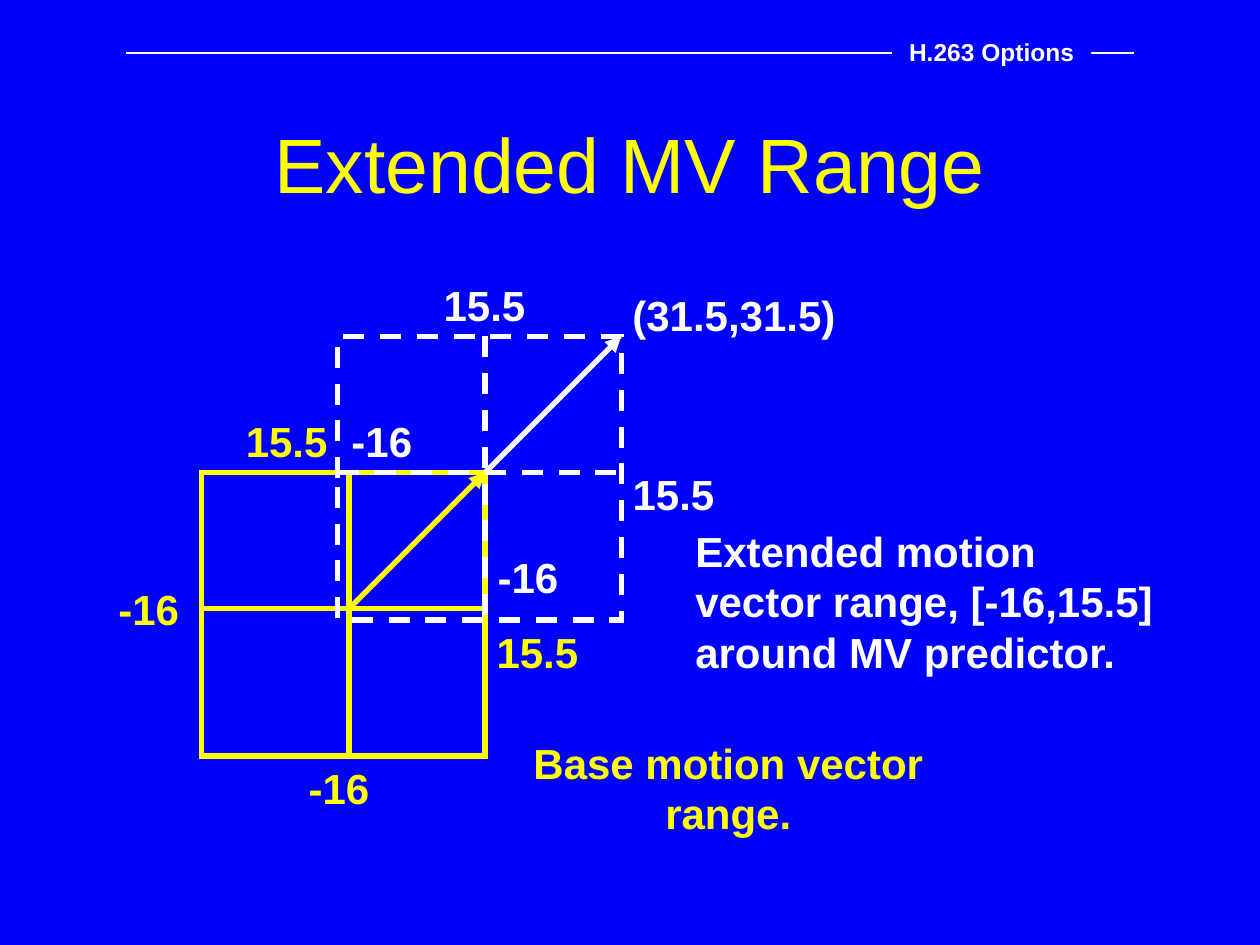
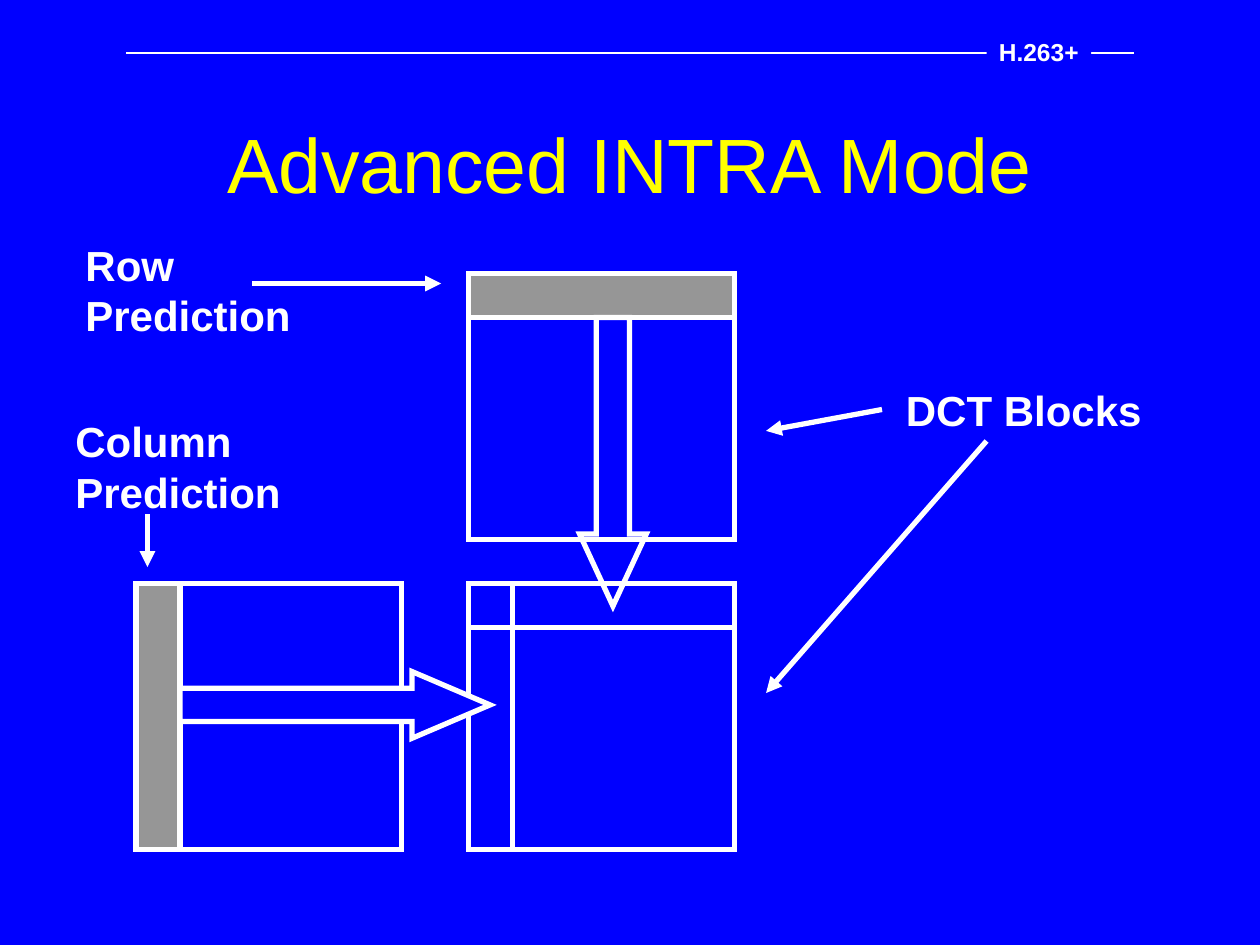
from dataclasses import dataclass

from lxml import etree
from pptx import Presentation
from pptx.dml.color import RGBColor
from pptx.enum.dml import MSO_LINE
from pptx.enum.shapes import MSO_CONNECTOR, MSO_SHAPE
from pptx.enum.text import MSO_ANCHOR, PP_ALIGN
from pptx.oxml.ns import qn
from pptx.util import Inches, Pt

RECT, RIGHT, DOWN = MSO_SHAPE.RECTANGLE, MSO_SHAPE.RIGHT_ARROW, MSO_SHAPE.DOWN_ARROW
STRAIGHT, DASH = MSO_CONNECTOR.STRAIGHT, MSO_LINE.DASH
MIDDLE, LEFT, CENTER = MSO_ANCHOR.MIDDLE, PP_ALIGN.LEFT, PP_ALIGN.CENTER

FONT = "Arial"
COLORS = {"blue": "0000FF", "yellow": "FFFF00", "white": "FFFFFF", "gray": "969696"}
THICK, THIN = 3, 0.75
TITLE_ONLY = 5


@dataclass
class Label:
    text: str
    x: float
    y: float
    w: float
    color: str = "white"
    h: float = 0.5
    align: int = CENTER


@dataclass
class Box:
    x: float
    y: float
    w: float
    h: float
    fill: str = ""
    line: str = "white"
    kind: int = RECT
    head: float = 0
    dash: bool = False
    turn: int = 0


@dataclass
class Line:
    x1: float
    y1: float
    x2: float
    y2: float
    color: str = "white"
    arrow: bool = False
    dash: bool = False
    width: float = THICK


@dataclass
class Range:
    x: float
    y: float
    color: str
    dash: bool


def paint(name: str) -> RGBColor:
    return RGBColor.from_string(COLORS[name])


def style_line(line, color: str, width: float, dash: bool) -> None:
    line.color.rgb = paint(color)
    line.width = Pt(width)
    if dash:
        line.dash_style = DASH


def write(frame, text: str, size: int, color: str, bold: bool, align: int) -> None:
    frame.vertical_anchor = MIDDLE
    for i, words in enumerate(text.split("\n")):
        para = frame.add_paragraph() if i else frame.paragraphs[0]
        para.alignment = align
        run = para.add_run()
        run.text = words
        run.font.name, run.font.size, run.font.bold = FONT, Pt(size), bold
        run.font.color.rgb = paint(color)


def draw_box(slide, box: Box):
    shape = slide.shapes.add_shape(
        box.kind, Inches(box.x), Inches(box.y), Inches(box.w), Inches(box.h))
    shape.shadow.inherit = False
    shape.rotation = box.turn
    if box.head:
        shape.adjustments[0], shape.adjustments[1] = 0.5, box.head
    if box.fill:
        shape.fill.solid()
        shape.fill.fore_color.rgb = paint(box.fill)
    else:
        shape.fill.background()
    if box.line:
        style_line(shape.line, box.line, THICK, box.dash)
        ln = shape.line._get_or_add_ln()
        etree.SubElement(ln, qn("a:miter"), lim="800000")
    else:
        shape.line.fill.background()
    return shape


def draw_line(slide, line: Line) -> None:
    link = slide.shapes.add_connector(
        STRAIGHT, Inches(line.x1), Inches(line.y1), Inches(line.x2), Inches(line.y2))
    style_line(link.line, line.color, line.width, line.dash)
    if line.arrow:
        etree.SubElement(link.line._get_or_add_ln(), qn("a:tailEnd"), type="triangle")
    etree.SubElement(link._element.spPr, qn("a:effectLst"))


def draw_label(slide, label: Label) -> None:
    box = slide.shapes.add_textbox(
        Inches(label.x), Inches(label.y), Inches(label.w), Inches(label.h))
    box.text_frame.word_wrap = False
    write(box.text_frame, label.text, 24, label.color, True, label.align)


def draw_all(slide, items: list) -> None:
    tools = {Box: draw_box, Line: draw_line, Label: draw_label}
    for item in items:
        tools[type(item)](slide, item)


def draw_range(slide, area: Range) -> None:
    """Square with its axes and a vector from the zero point to the corner."""
    side, zero_x, zero_y = 2.25, area.x + 1.17, area.y + 1.08
    right, base = area.x + side, area.y + side
    color, dash = area.color, area.dash
    draw_all(slide, [
        Box(area.x, area.y, side, side, line=color, dash=dash, turn=90),
        Line(zero_x, area.y, zero_x, base, color, dash=dash),
        Line(area.x, zero_y, right, zero_y, color, dash=dash),
        Line(zero_x, zero_y, right, area.y, color, arrow=True),
    ])


def start_slide(prs, title: str):
    slide = prs.slides.add_slide(prs.slide_layouts[TITLE_ONLY])
    head = slide.shapes.title
    head.left, head.top = Inches(0.75), Inches(0.67)
    head.width, head.height = Inches(8.5), Inches(1.25)
    write(head.text_frame, title, 44, "yellow", False, CENTER)
    return slide


def add_band(slide, text: str, width: float) -> None:
    """Top rule, broken by the section name."""
    draw_line(slide, Line(1, 0.42, 9, 0.42, width=THIN))
    tag = draw_box(slide, Box(8.66 - width, 0.24, width, 0.34, "blue", line=""))
    tag.text_frame.word_wrap = False
    write(tag.text_frame, text, 14, "white", True, CENTER)


def build_range(prs) -> None:
    slide = start_slide(prs, "Extended MV Range")
    # Base range, then the one around the predictor
    draw_range(slide, Range(1.6, 3.75, "yellow", False))
    draw_range(slide, Range(2.68, 2.67, "white", True))

    # Limits and captions
    draw_all(slide, [
        Label("15.5", 3.84, 4.92, 0.85, "yellow"),
        Label("15.5", 1.85, 3.25, 0.85, "yellow"),
        Label("-16", 2.35, 6, 0.68, "yellow"),
        Label("-16", 0.84, 4.58, 0.68, "yellow"),
        Label("-16", 3.85, 4.33, 0.68),
        Label("-16", 2.69, 3.25, 0.68),
        Label("15.5", 4.92, 3.67, 0.85),
        Label("15.5", 3.42, 2.17, 0.85),
        Label("(31.5,31.5)", 4.92, 2.25, 1.81),
        Label("Base motion vector range.", 3.59, 6, 4.38, "yellow"),
        Label("Extended motion\nvector range, [-16,15.5]\naround MV predictor.",
              5.42, 4.12, 3.83, h=1.3, align=LEFT),
    ])
    add_band(slide, "H.263 Options", 1.58)


def build_intra(prs) -> None:
    slide = start_slide(prs, "Advanced INTRA Mode")
    side, strip = 2.11, 0.35
    west, east, north, south = 1.08, 3.72, 2.17, 4.63

    # DCT blocks with their edge strips
    blocks = [Box(x, y, side, side)
              for x, y in ((west, south), (east, north), (east, south))]
    strips = [
        Box(west, south, strip, side, "gray"),
        Box(east, north, side, strip, "gray"),
        Box(east, south, side, strip),
        Box(east, south, strip, side),
    ]
    draw_all(slide, blocks + strips)

    # Prediction arrows
    draw_all(slide, [
        Box(west + strip, 5.33, 2.46, 0.53, "blue", kind=RIGHT, head=1.17),
        Box(4.6, north + strip, 0.53, 2.29, kind=DOWN, head=1.08),
    ])

    # Captions and pointers
    draw_all(slide, [
        Label("DCT Blocks", 7.09, 3, 2.07),
        Line(7, 3.25, 6.08, 3.42, arrow=True),
        Line(7.83, 3.5, 6.08, 5.5, arrow=True),
        Label("Row\nPrediction", 0.58, 1.85, 1.83, h=0.9, align=LEFT),
        Label("Column\nPrediction", 0.5, 3.25, 1.83, h=0.9, align=LEFT),
        Line(2, 2.25, 3.5, 2.25, arrow=True),
        Line(1.17, 4.08, 1.17, 4.5, arrow=True),
    ])
    add_band(slide, "H.263+", 0.83)


def main() -> None:
    prs = Presentation()
    prs.slide_width, prs.slide_height = Inches(10), Inches(7.5)
    back = prs.slide_master.background.fill
    back.solid()
    back.fore_color.rgb = paint("blue")
    build_range(prs)
    build_intra(prs)
    prs.save("out.pptx")


if __name__ == "__main__":
    main()
